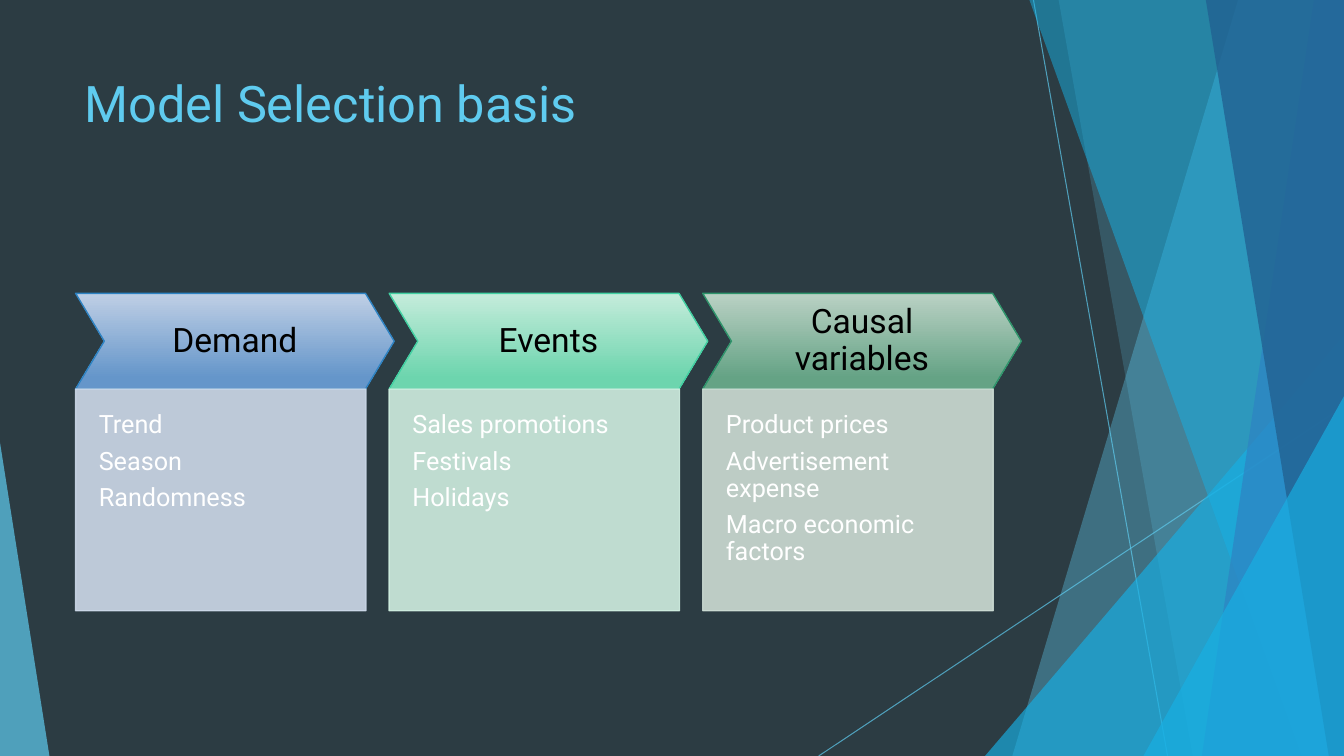
import pptx
import pptx.dml.color
import pptx.enum.dml
import pptx.enum.shapes
import pptx.enum.text
import pptx.util
import lxml.etree

RGBColor = pptx.dml.color.RGBColor
Preset = pptx.enum.shapes.MSO_SHAPE
Anchor = pptx.enum.text.MSO_ANCHOR
Align = pptx.enum.text.PP_ALIGN
Pt = pptx.util.Pt

NIGHT = RGBColor(0x2C, 0x3C, 0x43)
SKY = RGBColor(0x5F, 0xCB, 0xEF)
CYAN = RGBColor(0x17, 0xB0, 0xE4)
BLUE = RGBColor(0x2E, 0x83, 0xC3)
NAVY = RGBColor(0x22, 0x62, 0x92)
BLACK = RGBColor(0, 0, 0)
WHITE = RGBColor(255, 255, 255)

# The page is a grid of one-inch cells
COLUMNS, ROWS = 13.33, 7.5
cells = pptx.util.Inches
FONT = "Roboto"
DRAWING = "http://schemas.openxmlformats.org/drawingml/2006/main"

# Process steps: heading, chevron top, chevron bottom, outline, panel, items
STEPS = [
    ("Demand", RGBColor(0xBF, 0xCF, 0xE5), RGBColor(0x65, 0x96, 0xCA), BLUE,
     RGBColor(0xCD, 0xD9, 0xE9), ["Trend", "Season", "Randomness"]),
    ("Events", RGBColor(0xC5, 0xEC, 0xDB), RGBColor(0x6D, 0xD5, 0xAE),
     RGBColor(0x42, 0xD0, 0xA2), RGBColor(0xCF, 0xEE, 0xE0),
     ["Sales promotions", "Festivals", "Holidays"]),
    ("Causal variables", RGBColor(0xBA, 0xD1, 0xC4), RGBColor(0x65, 0xA3, 0x85),
     RGBColor(0x2E, 0x94, 0x6B), RGBColor(0xCD, 0xDC, 0xD4),
     ["Product prices", "Advertisement expense", "Macro economic factors"]),
]
STEP_LEFT, STEP_PITCH, STEP_TOP = 0.75, 3.11, 2.91
CHEVRON_WIDTH, CHEVRON_HEIGHT = 3.16, 0.95
PANEL_WIDTH, PANEL_HEIGHT = 2.88, 2.2


def set_opacity(shape, percent):
    """Apply one opacity to every solid colour of the shape."""
    for color in shape._element.spPr.iter(f"{{{DRAWING}}}srgbClr"):
        alpha = lxml.etree.SubElement(color, f"{{{DRAWING}}}alpha")
        alpha.set("val", str(percent * 1000))


def paint(shape, color, opacity, line=None):
    shape.shadow.inherit = False
    shape.fill.solid()
    shape.fill.fore_color.rgb = color
    if line is None:
        shape.line.fill.background()
    else:
        outline(shape, line)
    set_opacity(shape, opacity)


def outline(shape, color):
    shape.line.color.rgb = color
    shape.line.width = Pt(1)


def add_preset(page, preset, left, top, width, height):
    return page.shapes.add_shape(
        preset, cells(left), cells(top), cells(width), cells(height))


def add_hairline(page, start, end):
    line = page.shapes.add_connector(
        pptx.enum.shapes.MSO_CONNECTOR.STRAIGHT, *map(cells, start + end))
    line.line.color.rgb = SKY
    line.line.width = Pt(0.75)
    set_opacity(line, 70)
    lxml.etree.SubElement(line._element.spPr, f"{{{DRAWING}}}effectLst")


def add_band(page, top_left, bottom_left, color, opacity):
    """Full-height band from a slanted left side to the right page edge."""
    corners = [(COLUMNS, 0), (COLUMNS, ROWS), (bottom_left, ROWS)]
    builder = page.shapes.build_freeform(cells(top_left), 0)
    builder.add_line_segments([(cells(x), cells(y)) for x, y in corners])
    paint(builder.convert_to_shape(), color, opacity)


def add_corner(page, left, top, width, apex, color, opacity):
    """Triangle that stands on the bottom page edge."""
    corner = add_preset(page, Preset.ISOSCELES_TRIANGLE,
                        left, top, width, ROWS - top)
    corner.adjustments[0] = apex
    paint(corner, color, opacity)


def write(shape, texts, size, color, insets, anchor=Anchor.TOP,
          align=Align.LEFT, spacing=1, gap=0):
    frame = shape.text_frame
    frame.word_wrap = True
    frame.vertical_anchor = anchor
    (frame.margin_left, frame.margin_top,
     frame.margin_right, frame.margin_bottom) = map(cells, insets)
    frame.text = "\n".join(texts)
    for para in frame.paragraphs:
        para.alignment = align
        para.line_spacing = spacing
        para.font.name = FONT
        para.font.size = Pt(size)
        para.font.color.rgb = color
    for para in frame.paragraphs[:-1]:
        para.space_after = Pt(gap)


def add_step(page, index, heading, light, dark, edge, panel_color, items):
    left = STEP_LEFT + index * STEP_PITCH

    # Chevron with a top-to-bottom gradient
    chevron = add_preset(page, Preset.CHEVRON, left, STEP_TOP,
                         CHEVRON_WIDTH, CHEVRON_HEIGHT)
    chevron.adjustments[0] = 0.3
    chevron.shadow.inherit = False
    chevron.fill.gradient()
    chevron.fill.gradient_angle = 270
    first, last = chevron.fill.gradient_stops
    first.color.rgb, first.position = light, 0
    last.color.rgb, last.position = dark, 0.88
    outline(chevron, edge)
    write(chevron, [heading], 24, BLACK, [0.12] * 4,
          Anchor.MIDDLE, Align.CENTER, 0.9)

    # Panel of items
    panel = add_preset(page, Preset.RECTANGLE, left, STEP_TOP + CHEVRON_HEIGHT,
                       PANEL_WIDTH, PANEL_HEIGHT)
    paint(panel, panel_color, 90, panel_color)
    write(panel, items, 18, WHITE, [0.23, 0.23, 0.23, 0.45],
          spacing=0.9, gap=6.3)


def add_backdrop(page):
    page.background.fill.solid()
    page.background.fill.fore_color.rgb = NIGHT
    add_hairline(page, (10.25, 0), (11.58, ROWS))
    add_hairline(page, (COLUMNS, 4.03), (8.12, ROWS))
    add_band(page, 12.28, 10.04, SKY, 36)
    add_band(page, 10.5, 11.83, SKY, 20)
    add_corner(page, 9.77, 3.33, 3.56, 1, CYAN, 66)
    add_band(page, 10.21, 12.91, CYAN, 50)
    add_band(page, 13.03, 11.92, BLUE, 70)
    add_band(page, 11.96, 13.18, NAVY, 80)
    add_corner(page, 11.34, 3.93, 1.99, 1, CYAN, 66)
    add_corner(page, 0, 4.39, 0.49, 0, SKY, 70)


def main():
    deck = pptx.Presentation()
    deck.slide_width, deck.slide_height = cells(COLUMNS), cells(ROWS)
    page = deck.slides.add_slide(deck.slide_layouts[6])
    add_backdrop(page)

    # Title
    box = page.shapes.add_textbox(*map(cells, (0.74, 0.67, 9.4, 1.44)))
    write(box, ["Model Selection basis"], 36, SKY, [0.1, 0.05, 0.1, 0.05])

    # Process steps
    for index, step in enumerate(STEPS):
        add_step(page, index, *step)
    deck.save("out.pptx")


if __name__ == "__main__":
    main()
